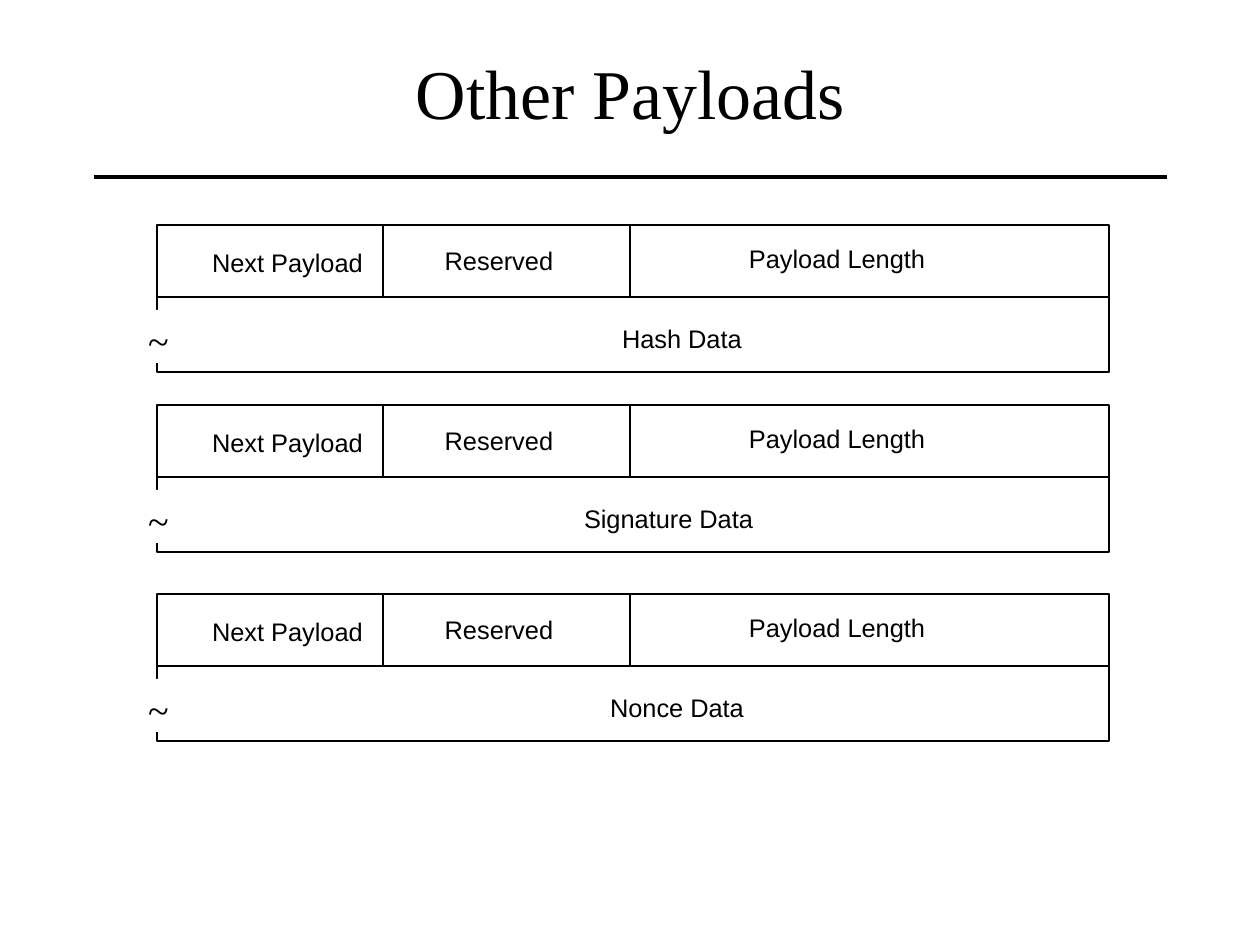
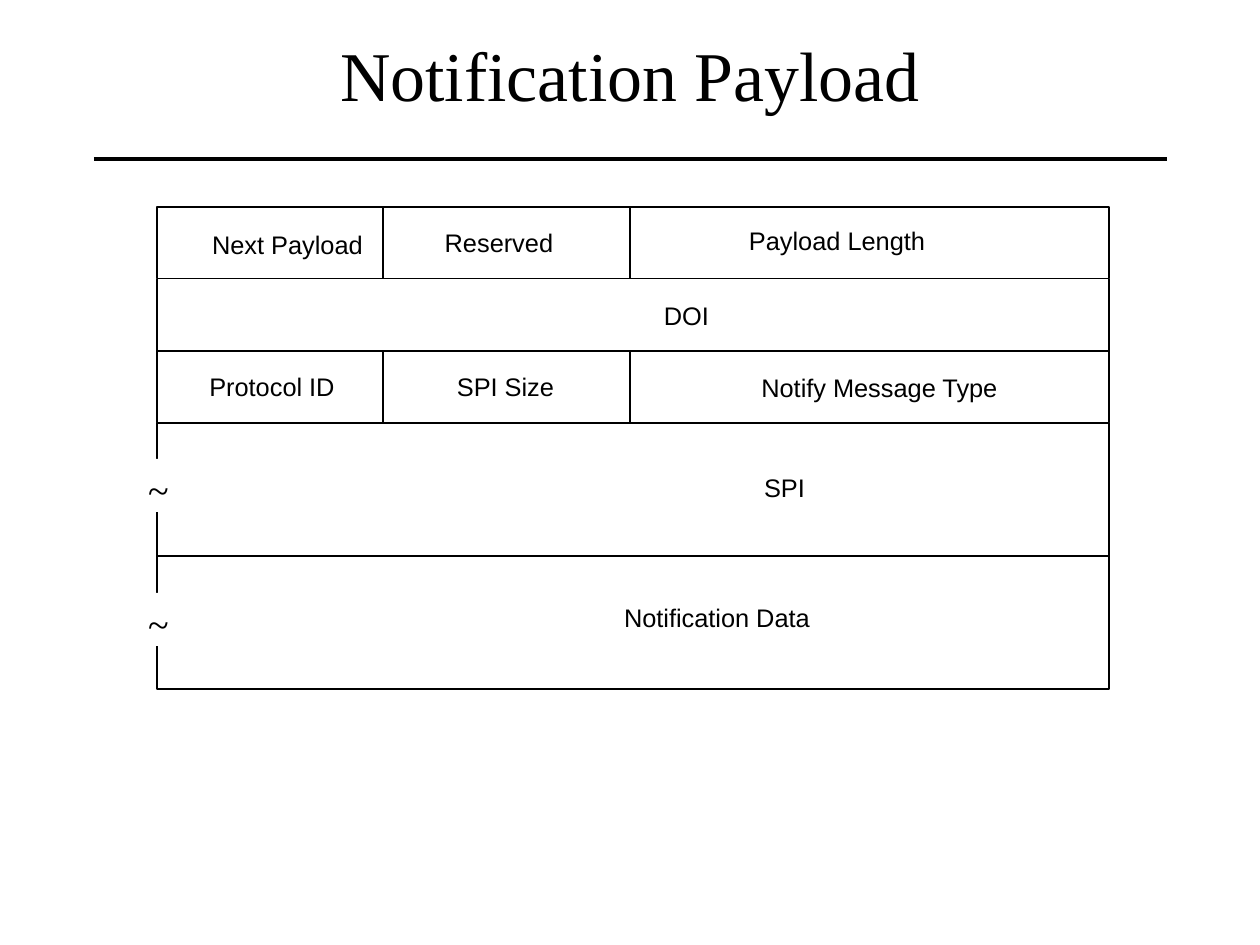
from pptx import Presentation
from pptx.dml.color import RGBColor
from pptx.enum.shapes import MSO_CONNECTOR, MSO_SHAPE
from pptx.enum.text import MSO_ANCHOR, MSO_AUTO_SIZE, PP_ALIGN
from pptx.oxml.ns import qn
from pptx.util import Pt
from lxml import etree

RECTANGLE, STRAIGHT = MSO_SHAPE.RECTANGLE, MSO_CONNECTOR.STRAIGHT
LEFT, CENTER = PP_ALIGN.LEFT, PP_ALIGN.CENTER
TOP, MIDDLE = MSO_ANCHOR.TOP, MSO_ANCHOR.MIDDLE
FIT_SHAPE, FIXED = MSO_AUTO_SIZE.SHAPE_TO_FIT_TEXT, MSO_AUTO_SIZE.NONE

EMU_PER_PX = 8000
SLIDE_WIDTH, SLIDE_HEIGHT = 1260, 945
COLORS = {"ink": "000000", "paper": "FFFFFF"}
FORMATS = {
    "title": {"font": {"name": "Times New Roman", "size": Pt(44)}, "spacing": 1.16},
    "label": {"font": {"name": "Arial", "size": Pt(16)}, "spacing": 0.97},
    "tilde": {"font": {"name": "Times New Roman", "size": Pt(24)}, "spacing": 1.16},
}
THIN, THICK = Pt(0.75), Pt(2.83)

ROW_LEFT, ROW_RIGHT = 157, 1109
DIVIDERS = (383, 630)
FIELD_HEIGHT = 72
LABEL_HEIGHT = 30
LABEL_SLACK = 4

# Fields of a row: text, left, offset from the row's top, text width
GENERIC_HEADER = (
    ("Next Payload", 212, 24, 151),
    ("Reserved", 445, 22, 108),
    ("Payload Length", 749, 20, 176),
)
NOTIFY_FIELDS = (
    ("Protocol ID", 209, 22, 126),
    ("SPI Size", 457, 22, 97),
    ("Notify Message Type", 761, 23, 237),
)


def px(length):
    return length * EMU_PER_PX


def color(key):
    return RGBColor.from_string(COLORS[key])


class PayloadDeck:
    def __init__(self):
        self.prs = Presentation()
        self.prs.slide_width = px(SLIDE_WIDTH)
        self.prs.slide_height = px(SLIDE_HEIGHT)
        self.slide = None

    def new_slide(self, title, rule_y):
        self.slide = self.prs.slides.add_slide(self.prs.slide_layouts[6])
        self.text(title, "title", 93, rule_y - 159, 1075, 134, CENTER,
                  word_wrap=True, auto_size=FIXED, vertical_anchor=MIDDLE)
        self.line(94, rule_y, 1167, rule_y, THICK)

    def text(self, content, style, x, y, width, height, align, **frame_format):
        box = self.slide.shapes.add_textbox(px(x), px(y), px(width), px(height))
        frame = box.text_frame
        frame_values = {
            "margin_left": 0, "margin_right": 0, "margin_top": 0, "margin_bottom": 0,
            "word_wrap": False, "auto_size": FIT_SHAPE, "vertical_anchor": TOP,
            **frame_format,
        }
        for name, value in frame_values.items():
            setattr(frame, name, value)
        paragraph = frame.paragraphs[0]
        paragraph.alignment = align
        paragraph.line_spacing = FORMATS[style]["spacing"]
        run = paragraph.add_run()
        run.text = content
        for name, value in FORMATS[style]["font"].items():
            setattr(run.font, name, value)
        run.font.color.rgb = color("ink")
        return box

    def line(self, x1, y1, x2, y2, weight=THIN):
        line = self.slide.shapes.add_connector(STRAIGHT, px(x1), px(y1), px(x2), px(y2))
        line.line.color.rgb = color("ink")
        line.line.width = weight
        properties = line._element.find(qn("p:spPr"))
        etree.SubElement(properties, qn("a:effectLst"))

    def outline(self, top, height):
        outline = self.slide.shapes.add_shape(
            RECTANGLE, px(ROW_LEFT), px(top), px(ROW_RIGHT - ROW_LEFT), px(height))
        outline.shadow.inherit = False
        outline.fill.background()
        outline.line.color.rgb = color("ink")
        outline.line.width = THIN

    def label(self, content, x, y, width):
        """Centre a one-line label on its text span, with slack on both sides."""
        self.text(content, "label", x - LABEL_SLACK, y, width + 2 * LABEL_SLACK,
                  LABEL_HEIGHT, CENTER)

    def field_row(self, top, fields):
        self.outline(top, FIELD_HEIGHT)
        for x in DIVIDERS:
            self.line(x, top, x, top + FIELD_HEIGHT)
        for content, x, offset, width in fields:
            self.label(content, x, top + offset, width)

    def data_row(self, top, height, tilde_offset, content, x, offset, width):
        """Draw a row of variable length, its left edge broken by a tilde."""
        self.outline(top, height)
        self.label(content, x, top + offset, width)
        tilde = self.text("~", "tilde", 148, top + tilde_offset, 21, 53, LEFT)
        tilde.fill.solid()
        tilde.fill.fore_color.rgb = color("paper")


def main():
    deck = PayloadDeck()

    deck.new_slide("Other Payloads", 177)
    for top, content, x, width in (
        (225, "Hash Data", 622, 120),
        (405, "Signature Data", 584, 169),
        (594, "Nonce Data", 610, 134),
    ):
        deck.field_row(top, GENERIC_HEADER)
        deck.data_row(top + FIELD_HEIGHT, 75, 13, content, x, 28, width)

    deck.new_slide("Notification Payload", 159)
    header_top, notify_top = 207, 351
    doi_top = header_top + FIELD_HEIGHT
    deck.field_row(header_top, GENERIC_HEADER)
    for x in (ROW_LEFT, ROW_RIGHT):
        deck.line(x, doi_top, x, notify_top)
    deck.label("DOI", 664, doi_top + 23, 45)
    deck.field_row(notify_top, NOTIFY_FIELDS)

    spi_top, data_height = notify_top + FIELD_HEIGHT, 133
    deck.data_row(spi_top, data_height, 36, "SPI", 764, 51, 41)
    deck.data_row(spi_top + data_height, data_height, 37, "Notification Data", 624, 48, 186)

    deck.prs.save("out.pptx")


if __name__ == "__main__":
    main()
